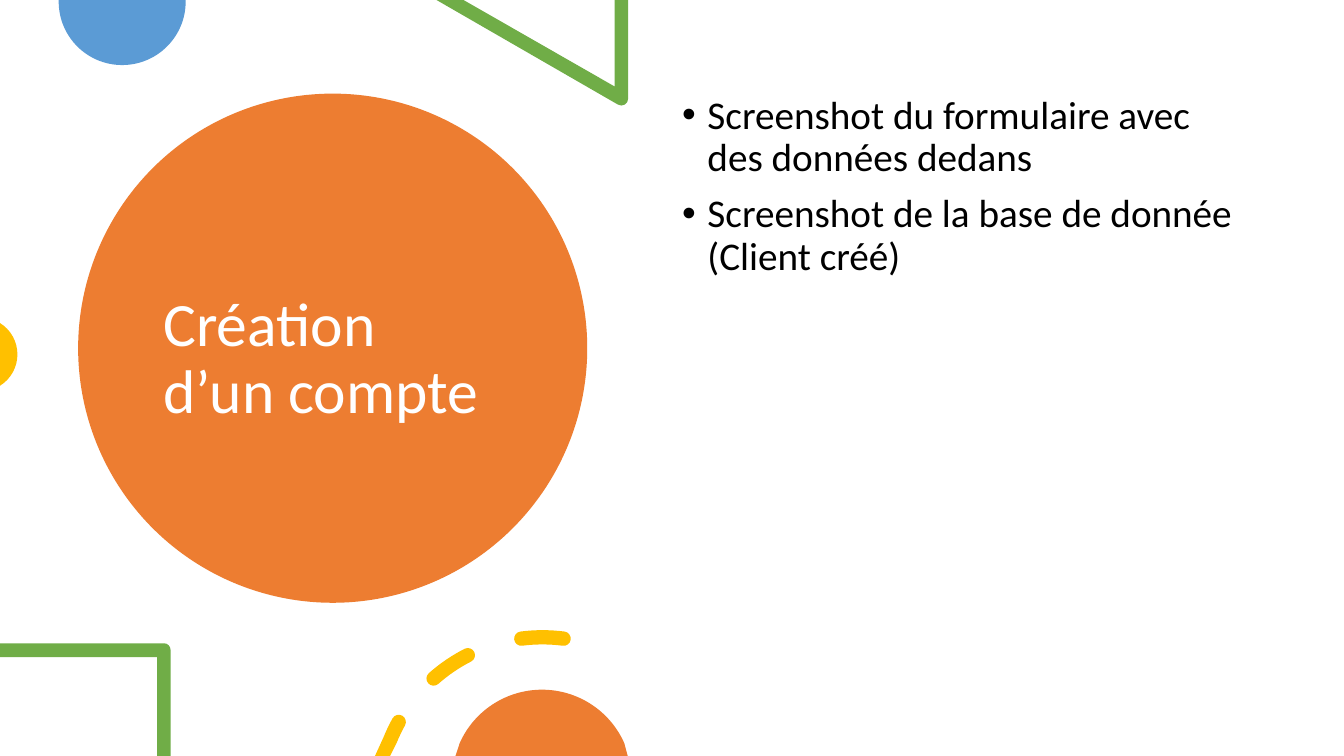
from math import acos, ceil, cos, degrees, radians, sin, tan

from lxml.etree import Element, SubElement
from pptx import Presentation
from pptx.dml.color import RGBColor
from pptx.enum.shapes import MSO_SHAPE
from pptx.enum.text import MSO_ANCHOR
from pptx.oxml.ns import qn
from pptx.util import Cm, Pt

WIDTH, HEIGHT = 33.87, 19.05
ORANGE, BLUE, GREEN, YELLOW = "ED7D31", "5B9BD5", "70AD47", "FFC000"
WHITE, BLACK = "FFFFFF", "000000"
CORNER = 0.17


def color(value):
    return RGBColor.from_string(value)


def lines(*points):
    return [(point,) for point in points]


def on_circle(x, y, radius, angle):
    return x + radius * cos(radians(angle)), y + radius * sin(radians(angle))


def arc(x, y, radius, start, end):
    pieces = ceil(abs(end - start) / 90)
    sweep = (end - start) / pieces
    reach = 4 / 3 * tan(radians(sweep / 4)) * radius
    steps = lines(on_circle(x, y, radius, start))
    for piece in range(pieces):
        first = start + piece * sweep
        last = first + sweep
        begin, finish = (on_circle(x, y, radius, angle) for angle in (first, last))
        steps.append((on_circle(*begin, reach, first + 90),
                      on_circle(*finish, reach, last - 90),
                      finish))
    return steps


def dash(x, y, radius, half, start, end, foot=None):
    def cap(angle, turn):
        return arc(*on_circle(x, y, radius, angle), half, turn, turn + 180)[1:]

    finish = lines(*foot) if foot else cap(start, start + 180)
    return (arc(x, y, radius + half, start, end) + cap(end, end)
            + arc(x, y, radius - half, end, start)[1:] + finish)


class SlideBuilder:
    font = "Calibri"
    line_spacing = 0.9

    def __init__(self, slide):
        self.shapes = slide.shapes

    def paint(self, shape, fill):
        shape.shadow.inherit = False
        shape.fill.solid()
        shape.fill.fore_color.rgb = color(fill)
        shape.line.fill.background()

    def circle(self, left, top, size, fill):
        shape = self.shapes.add_shape(
            MSO_SHAPE.OVAL, Cm(left), Cm(top), Cm(size), Cm(size))
        self.paint(shape, fill)

    def outline(self, contours, fill):
        builder = None
        for contour in contours:
            start, *points = [(Cm(x), Cm(y)) for step in contour for x, y in step]
            if builder is None:
                builder = self.shapes.build_freeform(*start)
            else:
                builder.move_to(*start)
            builder.add_line_segments(points, close=True)
        shape = builder.convert_to_shape()
        self.bend(shape, [step for contour in contours for step in contour[1:]])
        self.paint(shape, fill)

    def bend(self, shape, steps):
        segments = iter(list(shape._element.iter(qn("a:lnTo"))))
        for step in steps:
            group = [next(segments) for point in step]
            if len(group) == 3:
                curve = Element(qn("a:cubicBezTo"))
                group[0].addprevious(curve)
                for segment in group:
                    curve.append(segment[0])
                    segment.getparent().remove(segment)

    def text(self, place, paragraphs, size, fill, anchor=MSO_ANCHOR.TOP, bullets=False):
        box = self.shapes.add_textbox(*map(Cm, place))
        frame = box.text_frame
        frame.word_wrap = True
        frame.vertical_anchor = anchor
        frame.text = "\n".join(paragraphs)
        for para in frame.paragraphs:
            para.line_spacing = self.line_spacing
            if bullets:
                self.bullet(para)
            for span in para.runs:
                span.font.name = self.font
                span.font.size = Pt(size)
                span.font.color.rgb = color(fill)

    def bullet(self, para):
        para.space_before = Pt(10)
        properties = para._p.get_or_add_pPr()
        properties.set("marL", str(Cm(0.64)))
        properties.set("indent", str(-Cm(0.64)))
        SubElement(properties, qn("a:buFont")).set("typeface", "Arial")
        SubElement(properties, qn("a:buChar")).set("char", "•")


def main():
    deck = Presentation()
    deck.slide_width, deck.slide_height = Cm(WIDTH), Cm(HEIGHT)
    page = SlideBuilder(deck.slides.add_slide(deck.slide_layouts[6]))

    page.circle(1.97, 2.36, 12.83, ORANGE)
    page.text((3.87, 3.42, 8.99, 11.3), ["Création d’un compte"], 44, WHITE,
              anchor=MSO_ANCHOR.MIDDLE)

    blue_top = lines((4.68, 0), (1.48, 0))
    page.outline([blue_top + arc(3.08, 0.04, 1.6, 180, 0)], BLUE)

    triangle = lines((15.83, 0), (15.49, 0), (15.49, 2.18), (11.68, 0), (11, 0))
    page.outline([triangle + arc(15.66, 2.49, CORNER, 120, 0)], GREEN)

    edge = degrees(acos(0.49 / 0.93))
    page.outline([arc(-0.49, 8.93, 0.93, -edge, edge)], YELLOW)

    page.text((16.94, 2.28, 14.6, 13.59),
              ["Screenshot du formulaire avec des données dedans",
               "Screenshot de la base de donnée (Client créé)"],
              28, BLACK, bullets=True)

    square = lines((4.3, HEIGHT), (3.96, HEIGHT), (3.96, 16.56), (0, 16.56), (0, 16.21))
    page.outline([square + arc(4.13, 16.38, CORNER, 270, 360)], GREEN)

    foot = [(9.83, HEIGHT), (9.45, HEIGHT)]
    dash_spans = [(202, 209, foot), (228.5, 243), (262.6, 277.4)]
    page.outline([dash(13.67, 20.2, 4.14, 0.18, *span) for span in dash_spans], YELLOW)

    base = lines((15.82, HEIGHT), (11.48, HEIGHT))
    page.outline([base + arc(13.66, 19.65, 2.27, 204, 336)], ORANGE)

    deck.save("out.pptx")


if __name__ == "__main__":
    main()
